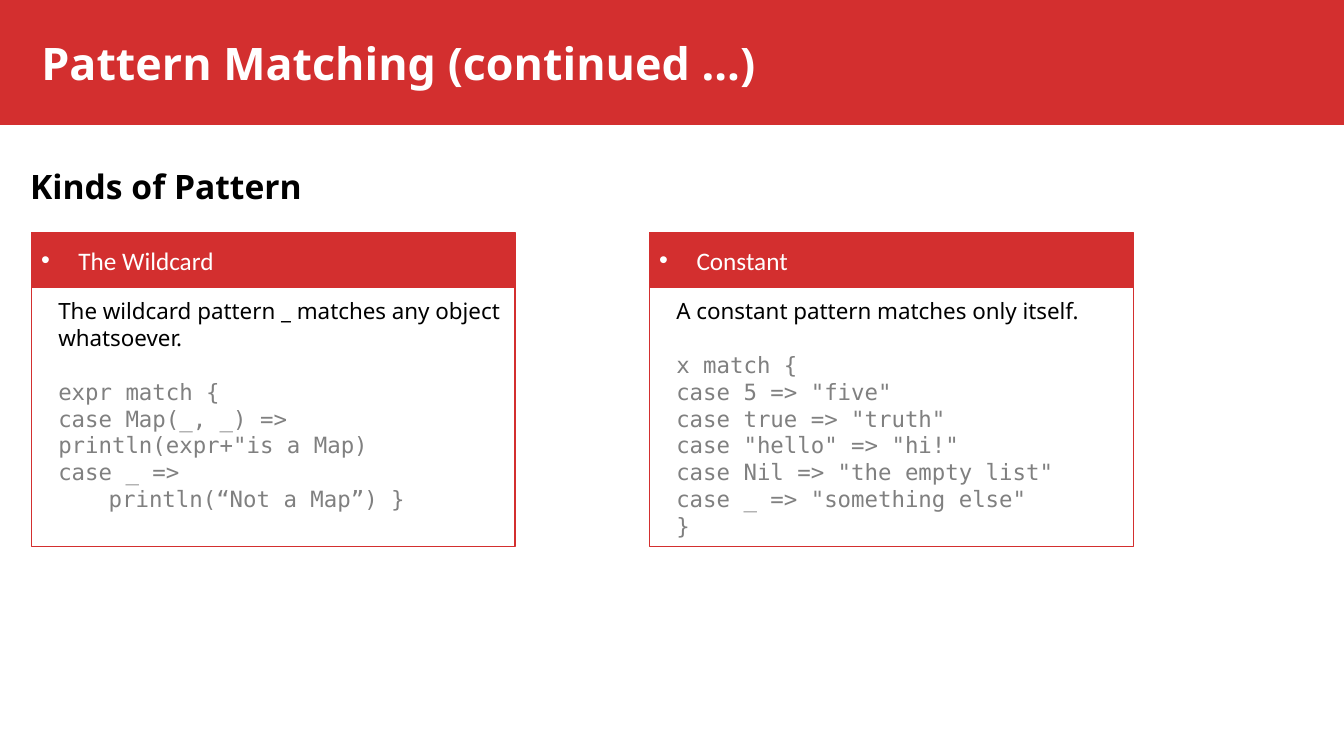
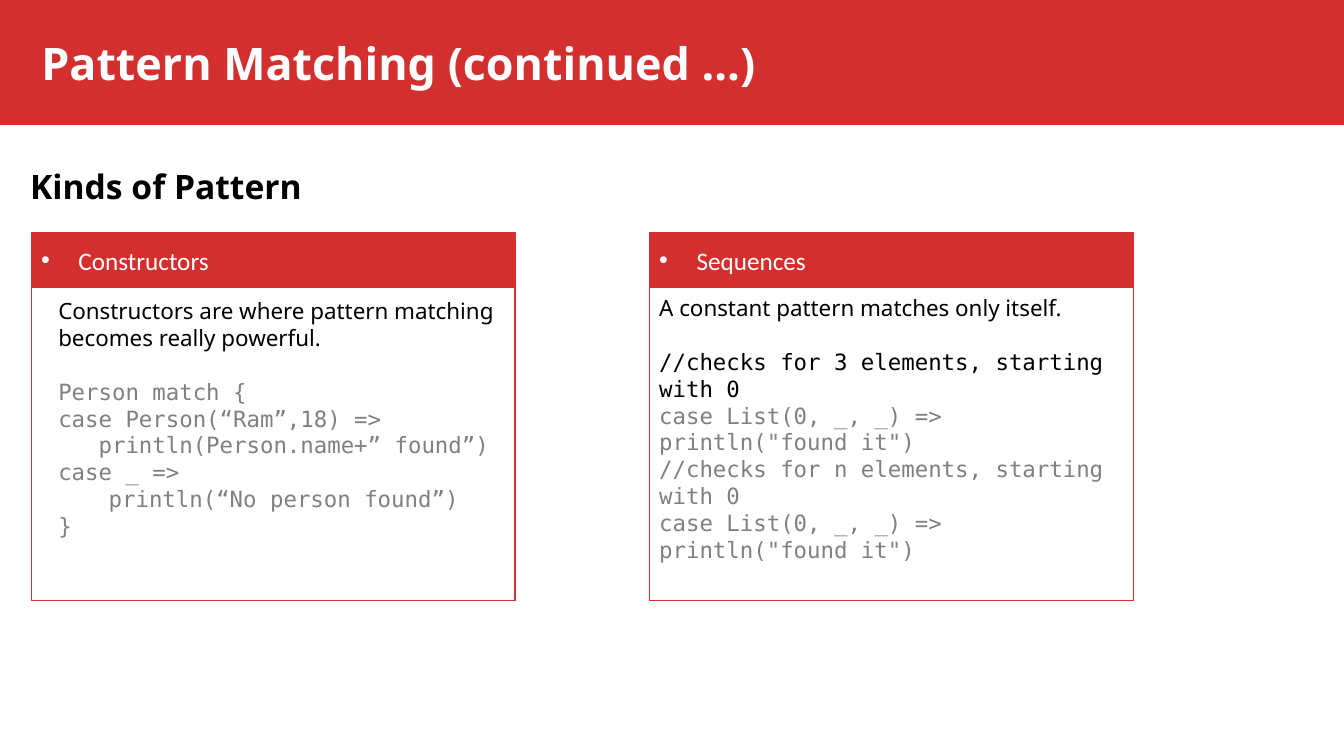
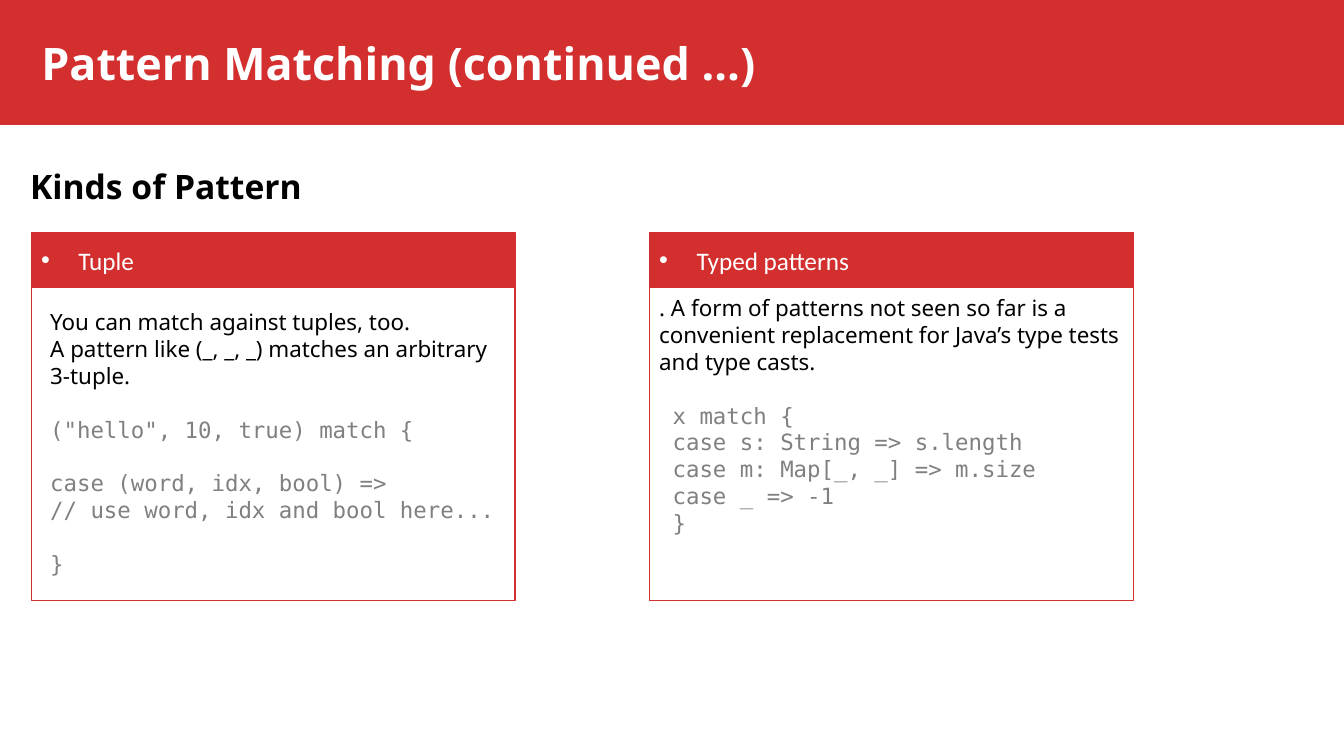
from dataclasses import dataclass

from lxml.etree import SubElement
from pptx import Presentation
from pptx.dml.color import RGBColor
from pptx.enum.shapes import MSO_SHAPE
from pptx.enum.text import MSO_ANCHOR, MSO_AUTO_SIZE, PP_ALIGN
from pptx.oxml.ns import qn
from pptx.shapes.autoshape import Shape
from pptx.slide import Slide
from pptx.text.text import TextFrame
from pptx.util import Inches, Pt


@dataclass(frozen=True)
class Theme:
    """Colours, fonts and type sizes of the deck."""
    red: RGBColor = RGBColor(0xD3, 0x2F, 0x2F)
    white: RGBColor = RGBColor(0xFF, 0xFF, 0xFF)
    black: RGBColor = RGBColor(0, 0, 0)
    gray: RGBColor = RGBColor(0x80, 0x80, 0x80)
    sans: str = "Noto Sans"
    mono: str = "DejaVu Sans Mono"
    label: str = "Calibri"
    title_size: float = 32
    subtitle_size: float = 24
    label_size: float = 18
    body_size: float = 16
    body_pitch: float = 19.2


@dataclass(frozen=True)
class Line:
    """One paragraph of a panel; a gap leaves one line free above it."""
    text: str
    code: bool = True
    dark: bool = False
    gap: bool = False


@dataclass(frozen=True)
class Panel:
    """A headed box with its lines and the place of its text."""
    heading: str
    lines: tuple[Line, ...]
    inset: float = 0.17
    top: float = 2.9
    width: float = 4.63


@dataclass(frozen=True)
class Page:
    """A pair of panels and their common height."""
    height: float
    panels: tuple[Panel, Panel]


THEME = Theme()
SLIDE_W, SLIDE_H = 13.33, 7.5
PANEL_LEFT, PANEL_STEP, PANEL_W = 0.31, 6.13, 4.8
TITLE = "Pattern Matching (continued …)"
SUBTITLE = "Kinds of Pattern"

PAGES = (
    Page(3.09, (
        Panel("The Wildcard", (
            Line("The wildcard pattern _ matches any object whatsoever.", code=False),
            Line("expr match {", gap=True),
            Line("case Map(_, _) =>"),
            Line("println(expr+\"is a Map)"),
            Line("case _ =>"),
            Line("\tprintln(“Not a Map”) }"),
        )),
        Panel("Constant", (
            Line("A constant pattern matches only itself.", code=False),
            Line("x match {", gap=True),
            Line("case 5 => \"five\""),
            Line("case true => \"truth\""),
            Line("case \"hello\" => \"hi!\""),
            Line("case Nil => \"the empty list\""),
            Line("case _ => \"something else\""),
            Line("}"),
        )),
    )),
    Page(3.63, (
        Panel("Constructors", (
            Line("Constructors are where pattern matching becomes really powerful.", code=False),
            Line("Person match {", gap=True),
            Line("case Person(“Ram”,18) =>"),
            Line("   println(Person.name+” found”)"),
            Line("case _ =>"),
            Line("\tprintln(“No person found”)"),
            Line("}"),
        )),
        Panel("Sequences", (
            Line("A constant pattern matches only itself.", code=False),
            Line("//checks for 3 elements, starting with 0", dark=True, gap=True),
            Line("case List(0, _, _) => println(\"found it\")"),
            Line("//checks for n elements, starting with 0"),
            Line("case List(0, _, _) => println(\"found it\")"),
        ), inset=0, top=2.87, width=PANEL_W),
    )),
    Page(3.63, (
        Panel("Tuple", (
            Line("You can match against tuples, too.", code=False),
            Line("A pattern like (_, _, _) matches an arbitrary 3-tuple.", code=False),
            Line("(\"hello\", 10, true) match {", gap=True),
            Line("case (word, idx, bool) =>", gap=True),
            Line("// use word, idx and bool here..."),
            Line("}", gap=True),
        ), inset=0.09, top=3.01),
        Panel("Typed patterns", (
            Line(". A form of patterns not seen so far is a convenient replacement "
                 "for Java’s type tests and type casts.", code=False),
            Line(" x match {", gap=True),
            Line(" case s: String => s.length"),
            Line(" case m: Map[_, _] => m.size"),
            Line(" case _ => -1"),
            Line(" }"),
        ), inset=0, top=2.87, width=PANEL_W),
    )),
)


def write(tf: TextFrame, text: str, *, size: float, font: str, color: RGBColor,
          bold: bool = False, bullet: float = 0, pitch: float = 0,
          before: float = 0, first: bool = True) -> None:
    """Write one formatted paragraph; bullet is its hanging indent in inches."""
    p = tf.paragraphs[0] if first else tf.add_paragraph()
    p.alignment = PP_ALIGN.LEFT
    if pitch:
        p.line_spacing = Pt(pitch)
    if before:
        p.space_before = Pt(before)
    if bullet:
        props = p._p.get_or_add_pPr()
        props.set("marL", str(Inches(bullet)))
        props.set("indent", str(-Inches(bullet)))
        SubElement(props, qn("a:buFont")).set("typeface", "Arial")
        SubElement(props, qn("a:buChar")).set("char", "•")
    r = p.add_run()
    r.text = text
    r.font.size, r.font.name, r.font.bold = Pt(size), font, bold
    r.font.color.rgb = color


def set_frame(tf: TextFrame, anchor: MSO_ANCHOR = MSO_ANCHOR.TOP) -> TextFrame:
    """Give a text frame wrapping, a fixed size and an anchor."""
    tf.word_wrap = True
    tf.auto_size = MSO_AUTO_SIZE.NONE
    tf.vertical_anchor = anchor
    return tf


def add_box(s: Slide, left: float, top: float, width: float, height: float) -> TextFrame:
    """Add an empty text box."""
    sp = s.shapes.add_textbox(Inches(left), Inches(top), Inches(width), Inches(height))
    return set_frame(sp.text_frame)


def add_rect(s: Slide, left: float, top: float, width: float, height: float,
             fill: RGBColor, outlined: bool = True) -> Shape:
    """Add a flat rectangle, with a red outline if wanted."""
    sp = s.shapes.add_shape(MSO_SHAPE.RECTANGLE, Inches(left), Inches(top),
                            Inches(width), Inches(height))
    sp.shadow.inherit = False
    sp.fill.solid()
    sp.fill.fore_color.rgb = fill
    if outlined:
        sp.line.color.rgb = THEME.red
        sp.line.width = Pt(1)
    else:
        sp.line.fill.background()
    return sp


def add_header(s: Slide) -> None:
    """Draw the title band, the title and the subtitle."""
    title = s.shapes.title
    band = add_rect(s, 0, 0, SLIDE_W, 1.24, THEME.red, outlined=False)
    title._element.addprevious(band._element)
    title.left, title.top = Inches(0.31), Inches(0.3)
    title.width, title.height = Inches(9.47), Inches(0.64)
    write(set_frame(title.text_frame), TITLE, size=THEME.title_size, font=THEME.sans,
          color=THEME.white, bold=True)
    write(add_box(s, 0.2, 1.6, 12.66, 0.5), SUBTITLE, size=THEME.subtitle_size,
          font=THEME.sans, color=THEME.black, bold=True)


def add_panel(s: Slide, panel: Panel, left: float, height: float) -> None:
    """Draw one panel with its heading bar and lines."""
    add_rect(s, left, 2.33, PANEL_W, height, THEME.white)
    bar = add_rect(s, left, 2.31, PANEL_W, 0.54, THEME.red)
    write(set_frame(bar.text_frame, MSO_ANCHOR.MIDDLE), panel.heading,
          size=THEME.label_size, font=THEME.label, color=THEME.white, bullet=0.37)
    tf = add_box(s, left + panel.inset, panel.top, panel.width, height - 0.57)
    for i, line in enumerate(panel.lines):
        write(tf, line.text, size=THEME.body_size,
              font=THEME.mono if line.code else THEME.sans,
              color=THEME.gray if line.code and not line.dark else THEME.black,
              pitch=THEME.body_pitch, before=THEME.body_pitch if line.gap else 0,
              first=i == 0)


def main() -> None:
    """Build and save the deck."""
    prs = Presentation()
    prs.slide_width, prs.slide_height = Inches(SLIDE_W), Inches(SLIDE_H)
    for page in PAGES:
        s = prs.slides.add_slide(prs.slide_layouts[5])
        add_header(s)
        for i, panel in enumerate(page.panels):
            add_panel(s, panel, PANEL_LEFT + i * PANEL_STEP, page.height)
    prs.save("out.pptx")


if __name__ == "__main__":
    main()
